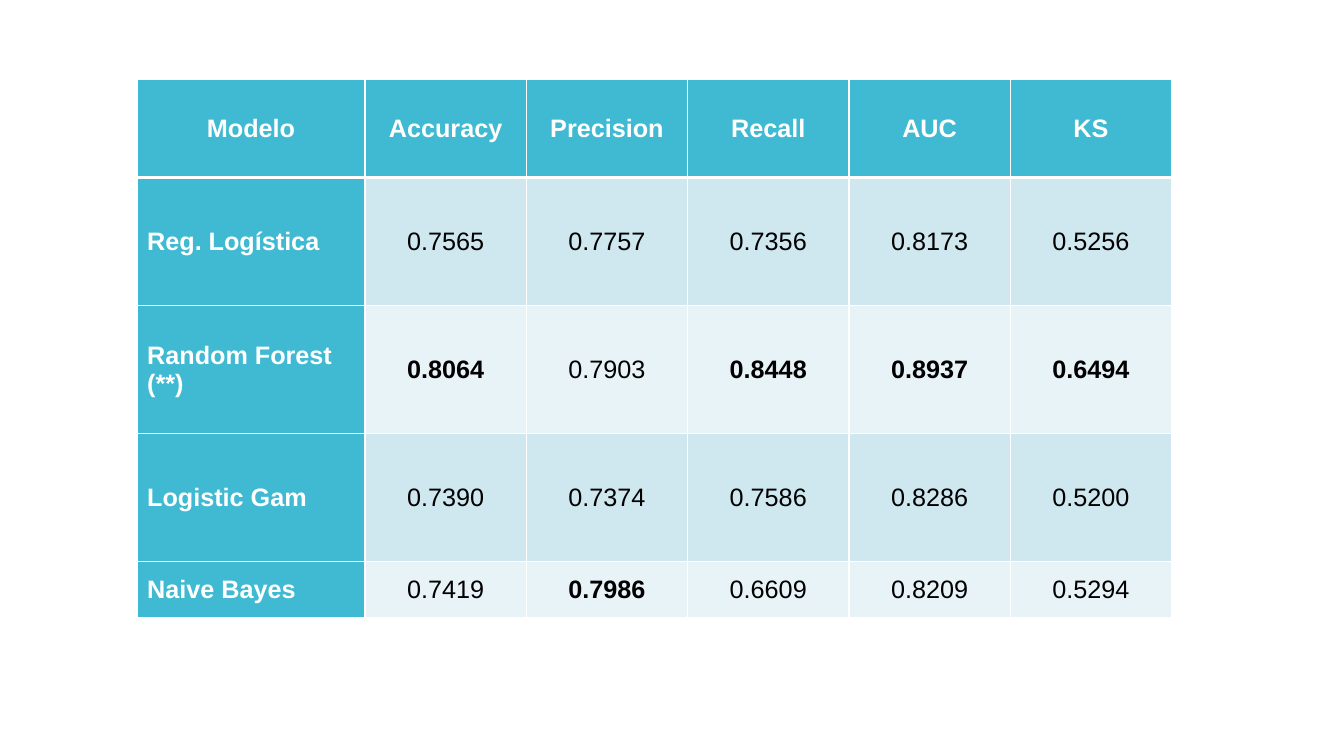
from lxml import etree
from pptx import Presentation
from pptx.dml.color import RGBColor
from pptx.enum.text import MSO_ANCHOR, PP_ALIGN
from pptx.oxml.ns import qn
from pptx.util import Inches, Pt

LEFT, CENTER = PP_ALIGN.LEFT, PP_ALIGN.CENTER
MIDDLE = MSO_ANCHOR.MIDDLE

WHITE, BLACK, TEAL = "FFFFFF", "000000", "40BAD2"
BANDS = ["E8F3F7", "CFE7EE"]

HEADER = ["Modelo", "Accuracy", "Precision", "Recall", "AUC", "KS"]
MODELS = [
    ["Reg. Logística", "0.7565", "0.7757", "0.7356", "0.8173", "0.5256"],
    ["Random Forest (**)", "0.8064", "0.7903", "0.8448", "0.8937", "0.6494"],
    ["Logistic Gam", "0.7390", "0.7374", "0.7586", "0.8286", "0.5200"],
    ["Naive Bayes", "0.7419", "0.7986", "0.6609", "0.8209", "0.5294"],
]
COL_WIDTHS = [2.26] + [1.6] * 5
ROW_HEIGHTS = [0.97, 1.27, 1.27, 1.27, 0.56]


def color(hex_code):
    return RGBColor.from_string(hex_code)


def add_border(cell, side, points):
    tcPr = cell._tc.get_or_add_tcPr()
    ln = etree.SubElement(tcPr, qn("a:" + side), w=str(Pt(points)))
    fill = etree.SubElement(ln, qn("a:solidFill"))
    etree.SubElement(fill, qn("a:srgbClr"), val=WHITE)


# Slide
prs = Presentation()
prs.slide_width, prs.slide_height = Inches(13.33), Inches(7.5)
s = prs.slides.add_slide(prs.slide_layouts[6])

# Table grid
rows = [HEADER] + MODELS
table = s.shapes.add_table(
    len(rows), len(HEADER), Inches(1.36), Inches(0.79),
    Inches(sum(COL_WIDTHS)), Inches(sum(ROW_HEIGHTS))).table
table.first_col = True
for col, width in zip(table.columns, COL_WIDTHS):
    col.width = Inches(width)
for row, height in zip(table.rows, ROW_HEIGHTS):
    row.height = Inches(height)

# The best score of each metric is bold
best = [max(column) for column in zip(*MODELS)]

# Cells
for i, values in enumerate(rows):
    for j, text in enumerate(values):
        cell = table.cell(i, j)
        heading = i == 0 or j == 0

        # Thick rule between the header and the models
        add_border(cell, "lnL", 1)
        add_border(cell, "lnR", 1)
        add_border(cell, "lnT", 3 if i == 1 else 1)
        add_border(cell, "lnB", 3 if i == 0 else 1)
        cell.fill.solid()
        cell.fill.fore_color.rgb = color(TEAL if heading else BANDS[i % 2])

        cell.text = text
        cell.vertical_anchor = MIDDLE
        p = cell.text_frame.paragraphs[0]
        p.alignment = LEFT if i > 0 and j == 0 else CENTER
        p.font.name = "Arial"
        p.font.size = Pt(18)
        p.font.bold = heading or text == best[j]
        p.font.color.rgb = color(WHITE if heading else BLACK)

prs.save("out.pptx")
